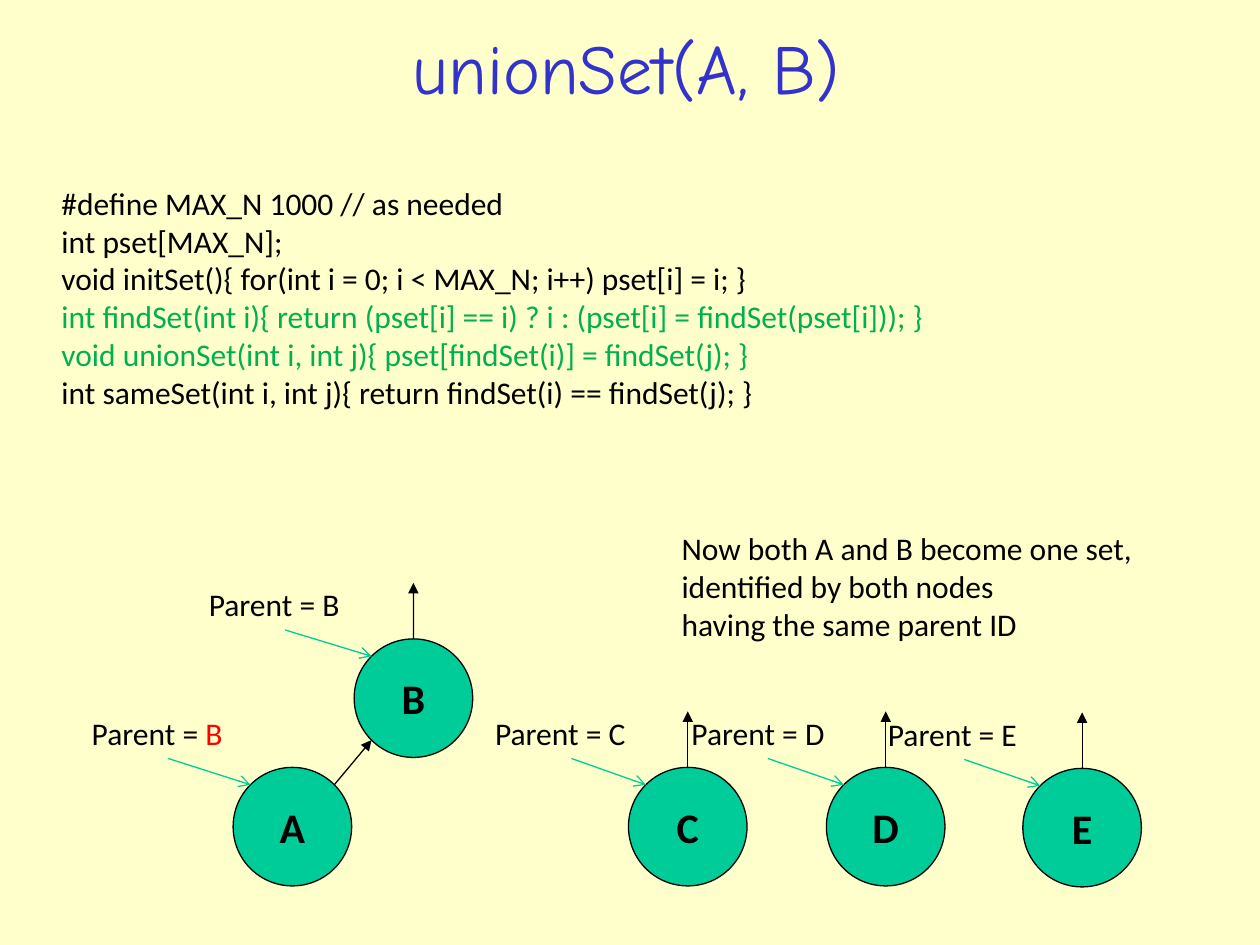
from math import sqrt

from lxml import etree
from pptx import Presentation
from pptx.dml.color import RGBColor
from pptx.enum.shapes import MSO_CONNECTOR as Connector, MSO_SHAPE as Shape
from pptx.enum.text import MSO_ANCHOR as Anchor, PP_ALIGN as Align
from pptx.oxml.ns import qn
from pptx.util import Cm, Pt

COLORS = {
    "background": "FFFFCC",
    "title": "3333CC",
    "text": "000000",
    "highlight": "00B050",
    "changed": "FF0000",
    "node": "00CC99",
    "pointer": "00CC98",
}

CODE = [
    ("#define MAX_N 1000 // as needed", "text"),
    ("int pset[MAX_N];", "text"),
    ("void initSet(){ for(int i = 0; i < MAX_N; i++) pset[i] = i; }", "text"),
    ("int findSet(int i){ return (pset[i] == i) ? i : (pset[i] = findSet(pset[i])); }", "highlight"),
    ("void unionSet(int i, int j){ pset[findSet(i)] = findSet(j); }", "highlight"),
    ("int sameSet(int i, int j){ return findSet(i) == findSet(j); }", "text"),
]

# Name, left and top of the circle, left of its label (cm)
ROOTS = [
    ("B", 7.14, 12.88, 3.96),
    ("C", 12.67, 15.47, 9.73),
    ("D", 16.66, 15.47, 13.69),
    ("E", 20.62, 15.49, 17.65),
]
CHILD = ("A", 4.70, 15.47, 1.60)

DIAMETER = 2.39
CORNER = DIAMETER * (1 - sqrt(0.5)) / 2  # inset of the circle's diagonal points
LABEL_RISE = 1.21
ROOT_ARROW = 1.13


def rgb(name):
    return RGBColor.from_string(COLORS[name])


def format_font(item, size, color="text", name="Calibri", bold=False):
    item.font.name = name
    item.font.size = Pt(size)
    item.font.bold = bold
    item.font.color.rgb = rgb(color)


def add_text(slide, left, top, width, height, lines, size=18, name="Calibri",
             align=Align.LEFT, anchor=Anchor.TOP):
    """Add a text box with one paragraph for each (text, color) pair."""
    box = slide.shapes.add_textbox(Cm(left), Cm(top), Cm(width), Cm(height))
    frame = box.text_frame
    frame.word_wrap = True
    frame.vertical_anchor = anchor
    frame.text = "\n".join(text for text, _ in lines)
    for paragraph, (_, color) in zip(frame.paragraphs, lines):
        paragraph.alignment = align
        for run in paragraph.runs:
            format_font(run, size, color, name)
    return box


def add_arrow(slide, start, end, color="text", head="triangle"):
    points = [Cm(value) for value in (*start, *end)]
    arrow = slide.shapes.add_connector(Connector.STRAIGHT, *points)
    arrow.line.color.rgb = rgb(color)
    arrow.line.width = Pt(0.75)
    etree.SubElement(arrow.line._get_or_add_ln(), qn("a:tailEnd"), type=head)
    etree.SubElement(arrow._element.spPr, qn("a:effectLst"))
    return arrow


def add_node(slide, name, left, top):
    node = slide.shapes.add_shape(Shape.OVAL, Cm(left), Cm(top), Cm(DIAMETER), Cm(DIAMETER))
    node.shadow.inherit = False
    node.fill.solid()
    node.fill.fore_color.rgb = rgb("node")
    node.line.color.rgb = rgb("text")
    node.line.width = Pt(0.75)
    frame = node.text_frame
    frame.word_wrap = False
    frame.vertical_anchor = Anchor.MIDDLE
    frame.text = name
    frame.paragraphs[0].alignment = Align.CENTER
    format_font(frame.paragraphs[0].runs[0], 24, bold=True)
    return node


def add_parent_label(slide, parent, left, top, label_left, changed=False):
    """Add the parent label and its pointer to the node at left, top."""
    label_top = top - LABEL_RISE
    box = add_text(slide, label_left, label_top, 3.58, 1.02, [("Parent = ", "text")])
    run = box.text_frame.paragraphs[0].add_run()
    run.text = parent
    format_font(run, 18, "changed" if changed else "text")
    add_arrow(slide, (label_left + 1.79, label_top + 1.03),
              (left + CORNER, top + CORNER), "pointer", "arrow")


def add_root(slide, name, left, top, label_left):
    """Add a node that is its own parent, with an arrow going up from it."""
    node = add_node(slide, name, left, top)
    middle = left + DIAMETER / 2
    arrow = add_arrow(slide, (middle, top), (middle, top - ROOT_ARROW))
    arrow.begin_connect(node, 0)
    add_parent_label(slide, name, left, top, label_left)


def main():
    presentation = Presentation()
    presentation.slide_width = Cm(25.4)
    presentation.slide_height = Cm(19.05)
    slide = presentation.slides.add_slide(presentation.slide_layouts[6])
    slide.background.fill.solid()
    slide.background.fill.fore_color.rgb = rgb("background")

    # Title and code
    add_text(slide, 1.83, 0.38, 21.59, 1.93, [("unionSet(A, B)", "title")],
             40, "Comic Neue", Align.CENTER, Anchor.MIDDLE)
    add_text(slide, 0.99, 3.58, 19.25, 4.83, CODE)

    # Separate trees
    for root in ROOTS:
        add_root(slide, *root)

    # A, now joined to B
    name, left, top, label_left = CHILD
    parent, parent_left, parent_top, _ = ROOTS[0]
    add_node(slide, name, left, top)
    add_parent_label(slide, parent, left, top, label_left, changed=True)
    add_arrow(slide, (left + DIAMETER - CORNER, top + CORNER),
              (parent_left + CORNER, parent_top + DIAMETER - CORNER))

    # Explanation
    note = "Now both A and B become one set, identified by both nodes\vhaving the same parent ID"
    add_text(slide, 13.49, 10.54, 10.52, 2.54, [(note, "text")])

    presentation.save("out.pptx")


if __name__ == "__main__":
    main()
